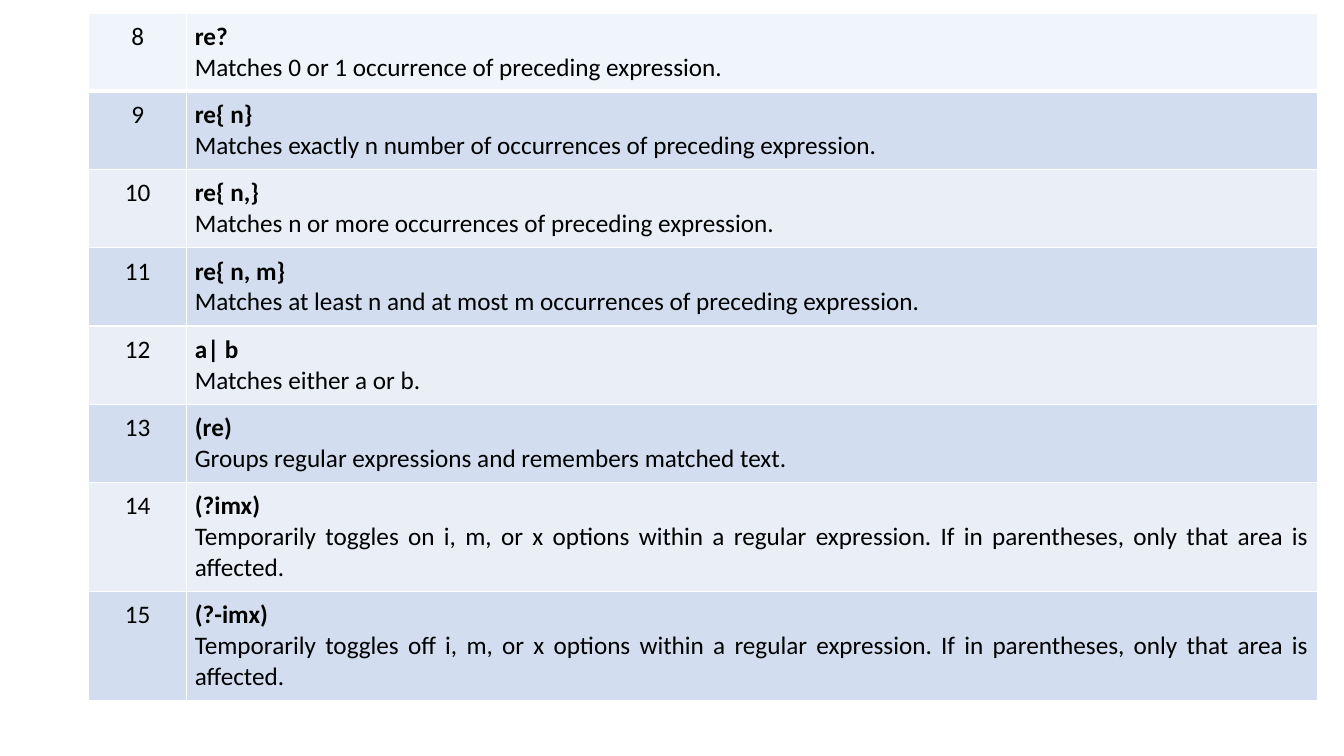
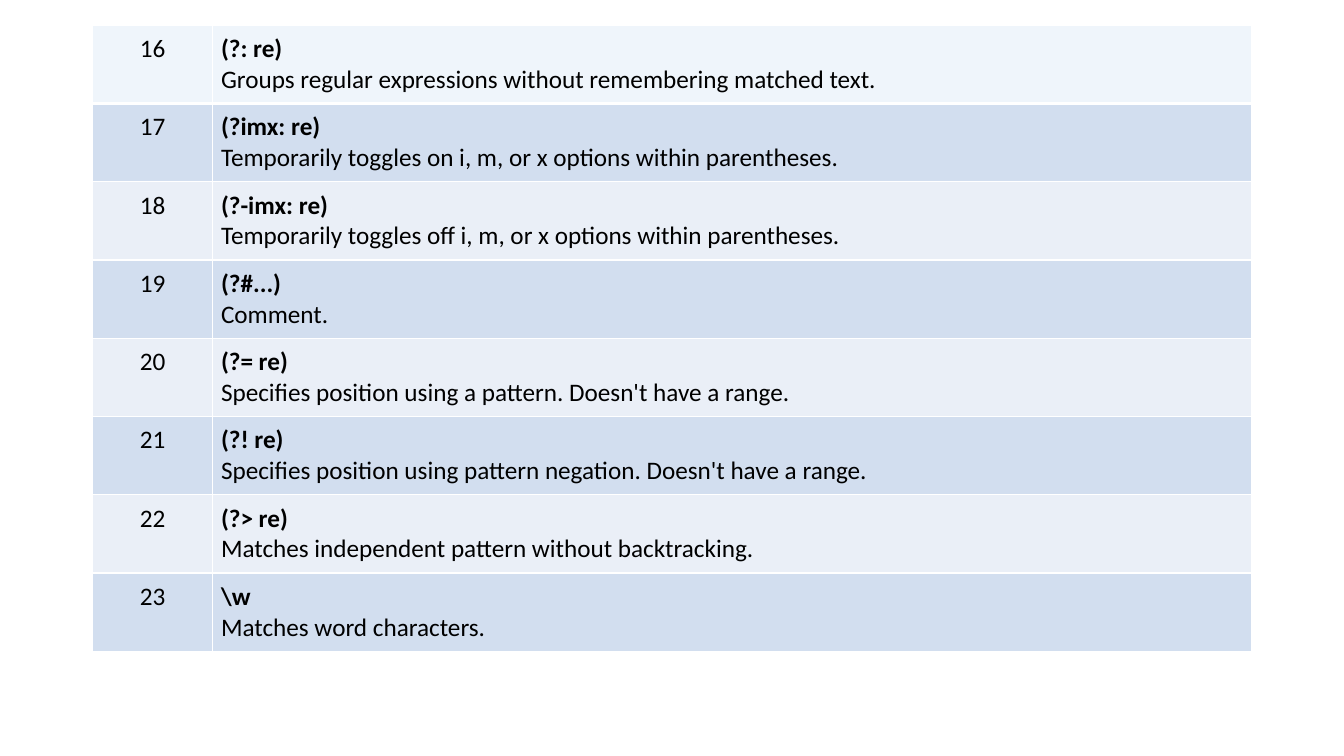
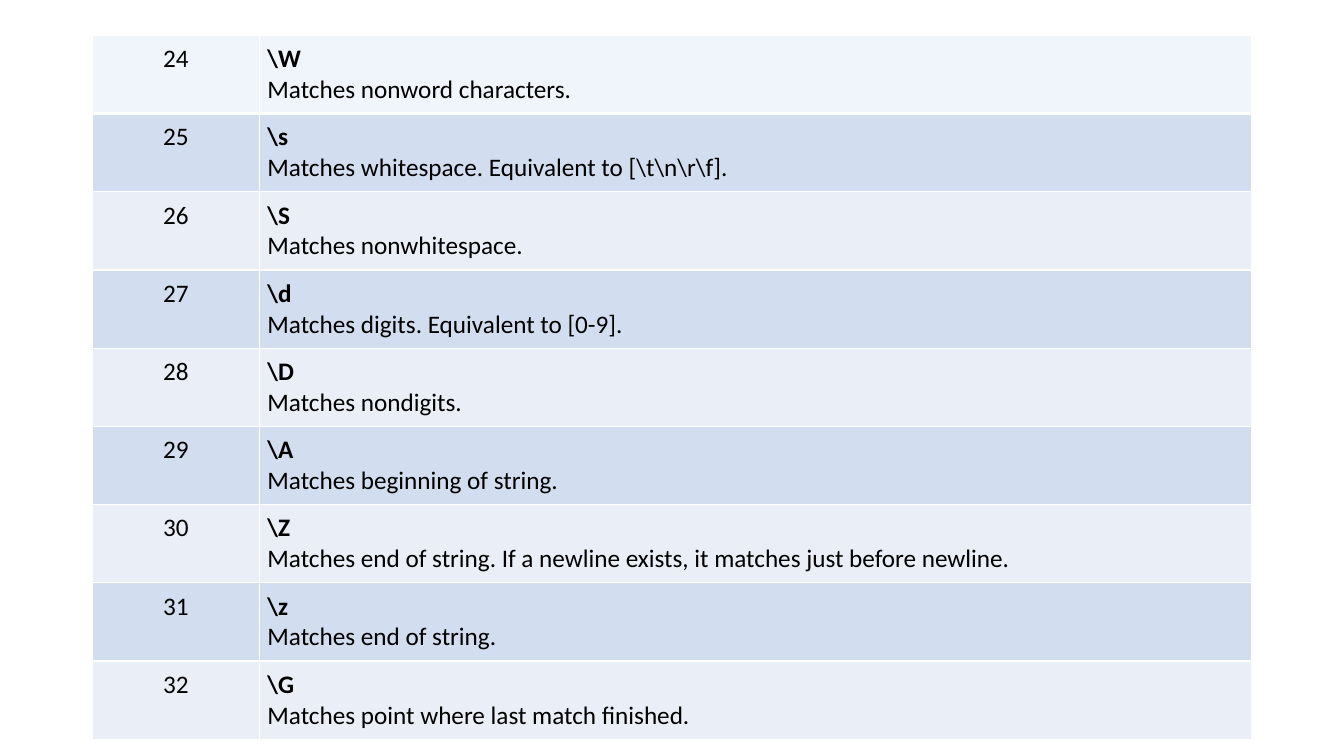
from lxml.etree import SubElement
from pptx import Presentation
from pptx.dml.color import RGBColor
from pptx.enum.text import PP_ALIGN
from pptx.oxml.ns import qn
from pptx.util import Cm, Pt

FONT = "Calibri"
TEXT_SIZE = Pt(18)
BLACK = RGBColor(0x00, 0x00, 0x00)
WHITE = RGBColor(0xFF, 0xFF, 0xFF)
TOP_ROW = RGBColor(0xEF, 0xF5, 0xFB)
BANDS = [RGBColor(0xEA, 0xEF, 0xF7), RGBColor(0xD2, 0xDE, 0xEF)]
INSET = Cm(0.21)
THIN, THICK = Pt(1), Pt(3)

# Row heights are minimums: rows grow to fit their text.
TABLES = [
    {
        "left": 2.24, "top": 0.33, "height": 17.09,
        "columns": [2.46, 28.5], "rows": [1.45] * 6 + [2.01] * 2,
        "first_number": 8,
        "patterns": [
            ("re?", "Matches 0 or 1 occurrence of preceding expression."),
            ("re{ n}", "Matches exactly n number of occurrences of preceding expression."),
            ("re{ n,}", "Matches n or more occurrences of preceding expression."),
            ("re{ n, m}", "Matches at least n and at most m occurrences of preceding expression."),
            ("a| b", "Matches either a or b."),
            ("(re)", "Groups regular expressions and remembers matched text."),
            ("(?imx)", "Temporarily toggles on i, m, or x options within a regular expression. "
                       "If in parentheses, only that area is affected."),
            ("(?-imx)", "Temporarily toggles off i, m, or x options within a regular expression. "
                        "If in parentheses, only that area is affected."),
        ],
    },
    {
        "left": 2.34, "top": 0.64, "height": 15.57,
        "columns": [3.02, 26.19], "rows": [1.04] * 8,
        "first_number": 16,
        "patterns": [
            ("(?: re)", "Groups regular expressions without remembering matched text."),
            ("(?imx: re)", "Temporarily toggles on i, m, or x options within parentheses."),
            ("(?-imx: re)", "Temporarily toggles off i, m, or x options within parentheses."),
            ("(?#...)", "Comment."),
            ("(?= re)", "Specifies position using a pattern. Doesn't have a range."),
            ("(?! re)", "Specifies position using pattern negation. Doesn't have a range."),
            ("(?> re)", "Matches independent pattern without backtracking."),
            (r"\w", "Matches word characters."),
        ],
    },
    {
        "left": 2.34, "top": 0.89, "height": 17.53,
        "columns": [4.19, 25.02], "rows": [1.04] * 9,
        "first_number": 24,
        "patterns": [
            (r"\W", "Matches nonword characters."),
            (r"\s", r"Matches whitespace. Equivalent to [\t\n\r\f]."),
            (r"\S", "Matches nonwhitespace."),
            (r"\d", "Matches digits. Equivalent to [0-9]."),
            (r"\D", "Matches nondigits."),
            (r"\A", "Matches beginning of string."),
            (r"\Z", "Matches end of string. If a newline exists, it matches just before newline."),
            (r"\z", "Matches end of string."),
            (r"\G", "Matches point where last match finished."),
        ],
    },
]


def style_cell(cell, row_index):
    """Give a cell its white borders, band colour and insets."""
    properties = cell._tc.get_or_add_tcPr()
    widths = {
        "a:lnL": THIN,
        "a:lnR": THIN,
        "a:lnT": THICK if row_index == 1 else THIN,
        "a:lnB": THICK if row_index == 0 else THIN,
    }
    for side, width in widths.items():
        line = SubElement(properties, qn(side), w=str(int(width)))
        fill = SubElement(line, qn("a:solidFill"))
        SubElement(fill, qn("a:srgbClr"), val=str(WHITE))
    cell.fill.solid()
    cell.fill.fore_color.rgb = BANDS[row_index % 2] if row_index else TOP_ROW
    cell.margin_left = cell.margin_right = INSET
    cell.margin_top = cell.margin_bottom = INSET


def write_cell(cell, lines, alignment):
    """Write (text, bold) lines into a cell, one paragraph each."""
    frame = cell.text_frame
    frame.text = "\n".join(text for text, bold in lines)
    for paragraph, (text, bold) in zip(frame.paragraphs, lines):
        paragraph.alignment = alignment
        paragraph.font.name = FONT
        paragraph.font.size = TEXT_SIZE
        paragraph.font.bold = bold
        paragraph.font.color.rgb = BLACK


deck = Presentation()
deck.slide_width = Cm(33.87)
deck.slide_height = Cm(19.05)

for layout in TABLES:
    page = deck.slides.add_slide(deck.slide_layouts[6])
    patterns = layout["patterns"]
    table_frame = page.shapes.add_table(
        len(patterns), 2, Cm(layout["left"]), Cm(layout["top"]),
        Cm(sum(layout["columns"])), Cm(layout["height"]))
    table = table_frame.table
    table.first_row = False
    table.horz_banding = False
    for column, width in zip(table.columns, layout["columns"]):
        column.width = Cm(width)
    for row, height in zip(table.rows, layout["rows"]):
        row.height = Cm(height)
    table_frame.height = Cm(layout["height"])

    for row_index, (pattern, meaning) in enumerate(patterns):
        number_cell, pattern_cell = table.rows[row_index].cells
        number = str(layout["first_number"] + row_index)
        write_cell(number_cell, [(number, False)], PP_ALIGN.CENTER)
        write_cell(pattern_cell, [(pattern, True), (meaning, False)], PP_ALIGN.JUSTIFY)
        for cell in (number_cell, pattern_cell):
            style_cell(cell, row_index)

deck.save("out.pptx")
